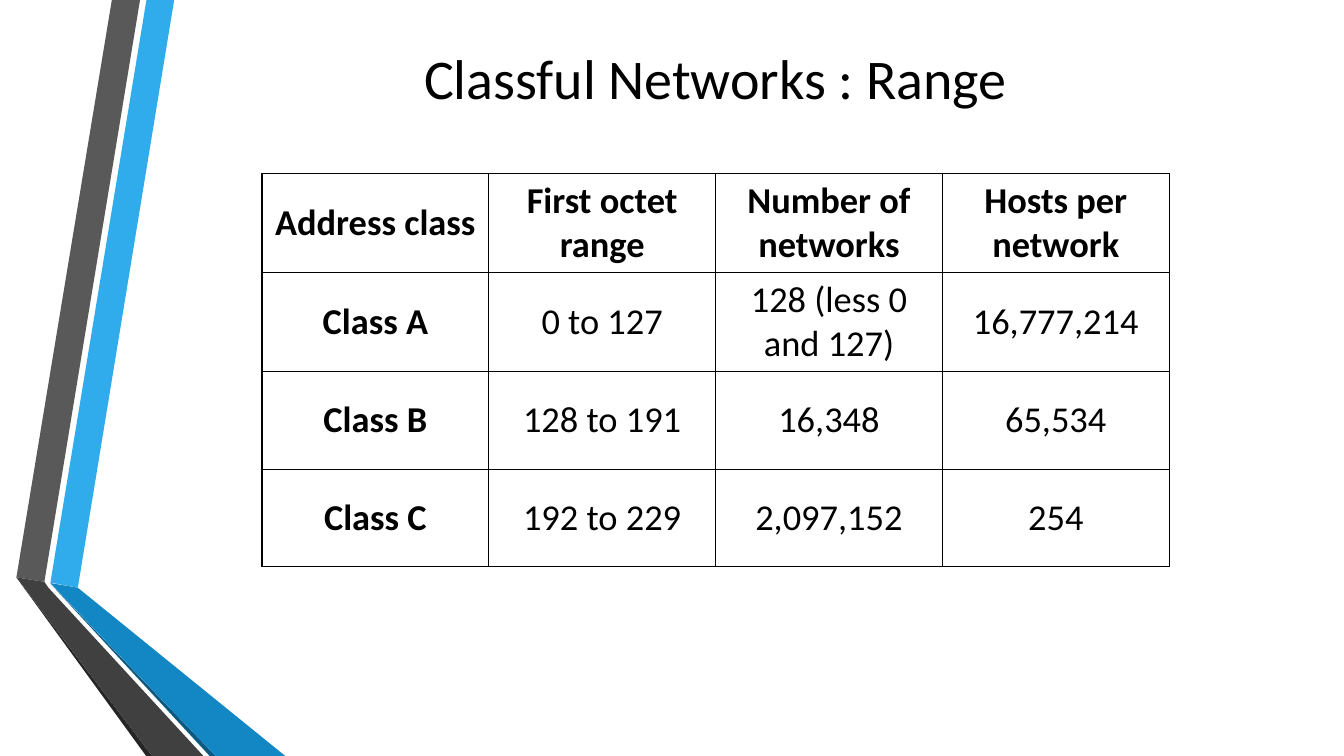
from lxml.etree import SubElement
from pptx import Presentation
from pptx.dml.color import RGBColor
from pptx.enum.text import MSO_ANCHOR, PP_ALIGN
from pptx.oxml.ns import qn
from pptx.util import Pt

FONT = "Calibri"
BLACK = "000000"
WHITE = "FFFFFF"
TITLE = "Classful Networks : Range"
CLASS_ROWS = [
    ("Address class", "First octet range", "Number of networks", "Hosts per network"),
    ("Class A", "0 to 127", "128 (less 0 and 127)", "16,777,214"),
    ("Class B", "128 to 191", "16,348", "65,534"),
    ("Class C", "192 to 229", "2,097,152", "254"),
]
ROW_HEIGHTS = [70.7, 70.7, 69.8, 69.8]
COLUMN_WIDTH = 162
TABLE_LEFT, TABLE_TOP = 187.2, 123.9

# Ribbon outlines in points, from back to front
RIBBONS = [
    ("30ACEC", [(36, 416.2), (55.6, 419.8), (124.4, 0), (104.6, 0)]),
    ("595959", [(100, 0), (79.9, 0), (11.7, 412.4), (31.7, 415.6)]),
    ("262626", [(11.7, 412.4), (104.4, 540), (108.7, 540)]),
    ("0C5A82", [(36, 416.9), (149.8, 540), (154.1, 540)]),
    ("1287C3", [(36, 416.5), (154.1, 540), (203.8, 540), (55.6, 419.8)]),
    ("404040", [(145.3, 540), (34.6, 419.8), (31.7, 415.6), (11.7, 412.4), (108.7, 540)]),
]


def color(value):
    return RGBColor.from_string(value)


def add_ribbon(slide, fill, points):
    builder = slide.shapes.build_freeform(Pt(points[0][0]), Pt(points[0][1]))
    builder.add_line_segments([(Pt(x), Pt(y)) for x, y in points[1:]], close=True)
    ribbon = builder.convert_to_shape()
    ribbon.shadow.inherit = False
    ribbon.fill.solid()
    ribbon.fill.fore_color.rgb = color(fill)
    ribbon.line.fill.background()


def write(frame, text, size, bold=False):
    """Put one centred run into a text frame."""
    para = frame.paragraphs[0]
    para.alignment = PP_ALIGN.CENTER
    span = para.add_run()
    span.text = text
    span.font.name = FONT
    span.font.size = Pt(size)
    span.font.bold = bold
    span.font.color.rgb = color(BLACK)


def add_borders(cell):
    properties = cell._tc.get_or_add_tcPr()
    for side in ("lnL", "lnR", "lnT", "lnB"):
        line = SubElement(properties, qn(f"a:{side}"), w=str(Pt(1)))
        fill = SubElement(line, qn("a:solidFill"))
        SubElement(fill, qn("a:srgbClr"), val=BLACK)


def add_class_table(slide):
    columns = len(CLASS_ROWS[0])
    table = slide.shapes.add_table(
        len(CLASS_ROWS), columns, Pt(TABLE_LEFT), Pt(TABLE_TOP),
        Pt(COLUMN_WIDTH * columns), Pt(sum(ROW_HEIGHTS)),
    ).table
    for column in table.columns:
        column.width = Pt(COLUMN_WIDTH)
    for row, height in zip(table.rows, ROW_HEIGHTS):
        row.height = Pt(height)
    for r, texts in enumerate(CLASS_ROWS):
        for c, text in enumerate(texts):
            cell = table.cell(r, c)
            cell.vertical_anchor = MSO_ANCHOR.MIDDLE
            add_borders(cell)
            cell.fill.solid()
            cell.fill.fore_color.rgb = color(WHITE)
            write(cell.text_frame, text, 26, bold=r == 0 or c == 0)


def main():
    deck = Presentation()
    deck.slide_width, deck.slide_height = Pt(960), Pt(540)
    slide = deck.slides.add_slide(deck.slide_layouts[6])
    for fill, points in RIBBONS:
        add_ribbon(slide, fill, points)
    title = slide.shapes.add_textbox(Pt(116.6), Pt(25.9), Pt(789.1), Pt(58.3))
    title.text_frame.word_wrap = True
    title.text_frame.vertical_anchor = MSO_ANCHOR.MIDDLE
    write(title.text_frame, TITLE, 40)
    add_class_table(slide)
    deck.save("out.pptx")


if __name__ == "__main__":
    main()
